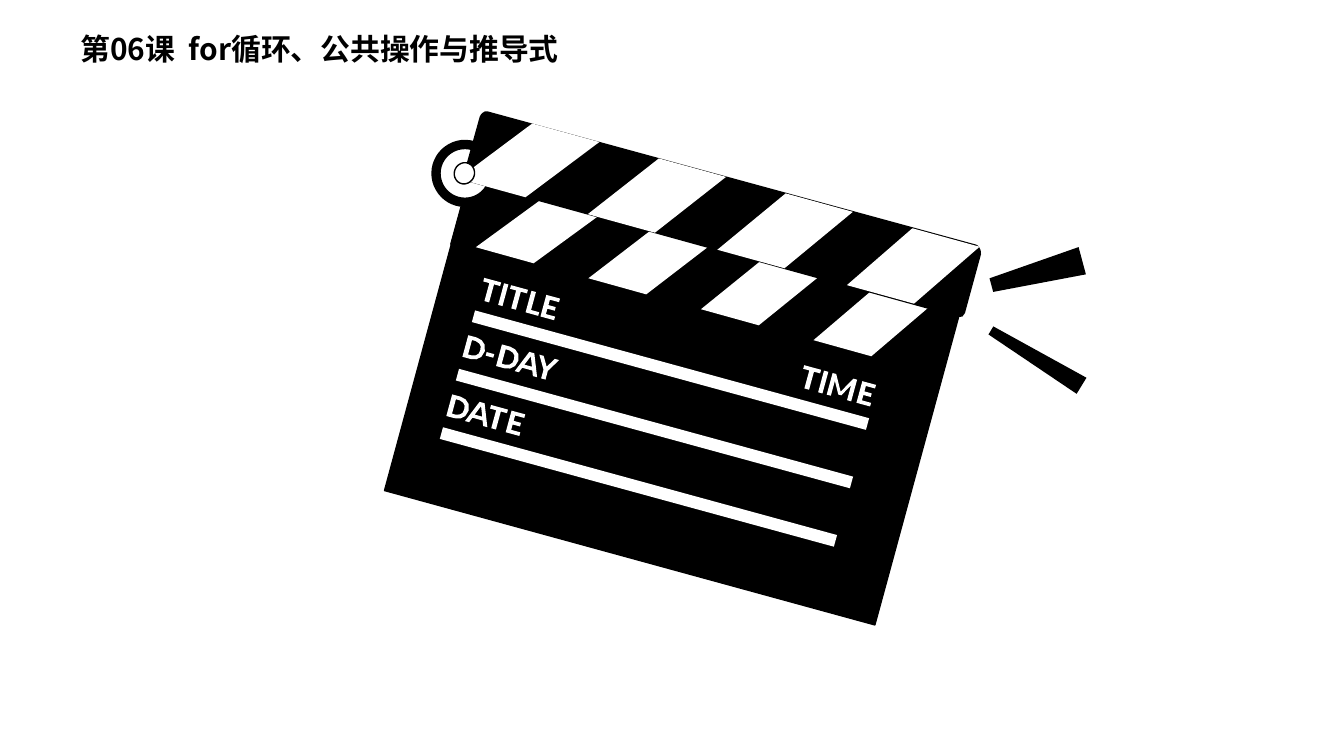
from math import cos, radians, sin

from lxml import etree
from pptx import Presentation
from pptx.dml.color import RGBColor
from pptx.enum.shapes import MSO_SHAPE
from pptx.enum.text import MSO_ANCHOR, MSO_AUTO_SIZE, PP_ALIGN
from pptx.oxml.ns import qn
from pptx.util import Pt

RECTANGLE, OVAL = MSO_SHAPE.RECTANGLE, MSO_SHAPE.OVAL
DONUT, TRAPEZOID = MSO_SHAPE.DONUT, MSO_SHAPE.TRAPEZOID
TOP, LEFT = MSO_ANCHOR.TOP, PP_ALIGN.LEFT
GROW = MSO_AUTO_SIZE.SHAPE_TO_FIT_TEXT

THEME = {
    "black": RGBColor(0, 0, 0),
    "white": RGBColor(255, 255, 255),
    "edge": RGBColor(0x56, 0x57, 0x57),
    "seam": RGBColor(0xEC, 0xEC, 0xEC),
    "font": "Noto Sans CJK SC",
    "title_size": Pt(16),
}

# Content: all lengths in points
TITLE = "第06课  for循环、公共操作与推导式"
TILT = 15.3
RING_TILT = 23.2

BOARD = [(206, 262.8), (468.7, 334.8), (514.1, 167.8), (251.3, 95.8)]
ARM = [(251.3, 94.3), (514.1, 167), (522.7, 135.4), (522, 133.9),
       (260.6, 62.6), (259.9, 63.4)]
BOTTOM_EDGE = [(466.6, 331.2), (228.2, 265.7)]
SEAM = [(242.6, 127.4), (505.4, 200.2)]

# Stripes: bottom-left corner, its step, top-left corner, its step, width
LOWER_STRIPES = ((254.9, 132.5), (60.3, 16.6), (289.4, 107.3), (59, 16.3), (31, 8.6))
UPPER_STRIPES = ((245.5, 95.8), (69.4, 19), (285.1, 66.2), (67.9, 18.7), (36, 9.9))
STRIPE_COUNT = 4

# Writing lines: first box and the step to the next one
RULE_BOX = (249.8, 195.1, 218.9, 6.5)
RULE_STEP = (-8.6, 31.3)
RULE_COUNT = 3

# Words: centre of the first letter, distance of each letter along the baseline
WORDS = [
    ("TITLE", (262.4, 155.9), (0, 7.5, 14.9, 25, 33.6)),
    ("D-DAY", (254.5, 186.8), (0, 8.6, 18.7, 29.9, 39.6)),
    ("DATE", (245.9, 218.5), (0, 11.2, 20.9, 31.4)),
    ("TIME", (433.8, 202.7), (0, 7.5, 17.9, 31.4)),
]

# Letter outlines around their centre, 12 points high
LETTERS = {
    "T": [[(-4.7, -6), (4.7, -6), (4.7, -4), (1.3, -4), (1.3, 6), (-1.3, 6),
           (-1.3, -4), (-4.7, -4)]],
    "I": [[(-1.2, -6), (1.2, -6), (1.2, 6), (-1.2, 6)]],
    "L": [[(-3.5, -6), (-1, -6), (-1, 4), (3.5, 4), (3.5, 6), (-3.5, 6)]],
    "E": [[(-3.8, -6), (3.8, -6), (3.8, -4), (-1.3, -4), (-1.3, -1), (2.8, -1),
           (2.8, 1), (-1.3, 1), (-1.3, 4), (3.8, 4), (3.8, 6), (-3.8, 6)]],
    "D": [[(-5.4, -6), (-0.8, -6), (2.2, -5.3), (4.4, -3.4), (5.4, 0), (4.4, 3.4),
           (2.2, 5.3), (-0.8, 6), (-5.4, 6)],
          [(-2.8, -4), (-2.8, 4), (-0.8, 4), (1.4, 3.3), (2.6, 2), (2.9, 0),
           (2.6, -2), (1.4, -3.3), (-0.8, -4)]],
    "A": [[(-6.2, 6), (-1.4, -6), (1.4, -6), (6.2, 6), (3.9, 6), (2.8, 3.2),
           (-2.8, 3.2), (-3.9, 6)],
          [(-2.1, 1.3), (2.1, 1.3), (0, -4)]],
    "Y": [[(-5.5, -6), (-3.1, -6), (0, -0.8), (3.1, -6), (5.5, -6), (1.2, 1.2),
           (1.2, 6), (-1.2, 6), (-1.2, 1.2)]],
    "M": [[(-6.8, 6), (-6.8, -6), (-4.8, -6), (0, 2.5), (4.8, -6), (6.8, -6),
           (6.8, 6), (4.5, 6), (4.5, -2.2), (0.8, 4.3), (-0.8, 4.3), (-4.5, -2.2),
           (-4.5, 6)]],
    "-": [[(-2.1, 0.1), (2.1, 0.1), (2.1, 2.1), (-2.1, 2.1)]],
}

# Sound marks: box and rotation
SOUND_MARKS = [((547.9, 121, 15.1, 50.4), 255), ((550.1, 163.4, 10.1, 56.9), 301.4)]

deck = Presentation()
deck.slide_width, deck.slide_height = Pt(720), Pt(405)
page = deck.slides.add_slide(deck.slide_layouts[5])


def paint(shape, color, line_width=0):
    shape.shadow.inherit = False
    shape.fill.solid()
    shape.fill.fore_color.rgb = THEME[color]
    if line_width:
        shape.line.color.rgb = THEME["black"]
        shape.line.width = Pt(line_width)
    else:
        shape.line.fill.background()


def add_preset(kind, box, color, rotation=0, line_width=0):
    shape = page.shapes.add_shape(kind, *[Pt(length) for length in box])
    shape.rotation = rotation
    paint(shape, color, line_width)
    return shape


def add_outline(contours, color, line_width=0):
    contours = [[(Pt(x), Pt(y)) for x, y in contour] for contour in contours]
    builder = page.shapes.build_freeform(*contours[0][0], scale=1.0)
    for index, contour in enumerate(contours):
        if index:
            builder.move_to(*contour[0])
        builder.add_line_segments(contour[1:], close=True)
    paint(builder.convert_to_shape(), color, line_width)


def add_stripes(bottom, bottom_step, top, top_step, width):
    for index in range(STRIPE_COUNT):
        low = [start + index * step for start, step in zip(bottom, bottom_step)]
        high = [start + index * step for start, step in zip(top, top_step)]
        low_right = [low[0] + width[0], low[1] + width[1]]
        high_right = [high[0] + width[0], high[1] + width[1]]
        add_outline([[low_right, low, high, high_right]], "white")


def add_word(word, center, offsets):
    across, down = cos(radians(TILT)), sin(radians(TILT))
    for letter, offset in zip(word, offsets):
        contours = [[(center[0] + (x + offset) * across - y * down,
                      center[1] + (x + offset) * down + y * across)
                     for x, y in contour] for contour in LETTERS[letter]]
        add_outline(contours, "white")


# Board
add_outline([BOARD], "black", 0.75)
add_outline([BOTTOM_EDGE], "edge")
add_preset(RECTANGLE, (241.2, 130.3, 272.9, 37.4), "black", TILT)
add_stripes(*LOWER_STRIPES)
add_outline([SEAM], "seam")

# Writing lines and words
left, top, width, height = RULE_BOX
for index in range(RULE_COUNT):
    box = (left + index * RULE_STEP[0], top + index * RULE_STEP[1], width, height)
    add_preset(RECTANGLE, box, "white", TILT)
for word in WORDS:
    add_word(*word)

# Hinge and clapping arm
add_preset(OVAL, (233.3, 77.8, 31, 31), "white", RING_TILT)
ring = add_preset(DONUT, (231.1, 74.9, 36, 36), "black", RING_TILT)
ring.adjustments[0] = 0.14
add_outline([ARM], "black", 6)
add_stripes(*UPPER_STRIPES)
add_preset(OVAL, (243.4, 87.1, 10.8, 11.5), "white", RING_TILT, 0.75)

# Sound marks
for box, rotation in SOUND_MARKS:
    add_preset(TRAPEZOID, box, "black", rotation)

# Title, in front of the drawing
title = page.shapes.title
title.left, title.top, title.width, title.height = Pt(36), Pt(15.8), Pt(278), Pt(26.6)
frame = title.text_frame
frame.text = TITLE
frame.word_wrap = True
frame.auto_size = GROW
frame.vertical_anchor = TOP
para = frame.paragraphs[0]
para.alignment = LEFT
para.line_spacing = 0.85
span = para.runs[0]
span.font.name = THEME["font"]
span.font.size = THEME["title_size"]
span.font.bold = True
span.font.color.rgb = THEME["black"]
east_asian = etree.SubElement(span.font._element, qn("a:ea"))
east_asian.set("typeface", THEME["font"])
page.shapes._spTree.append(title._element)

deck.save("out.pptx")
